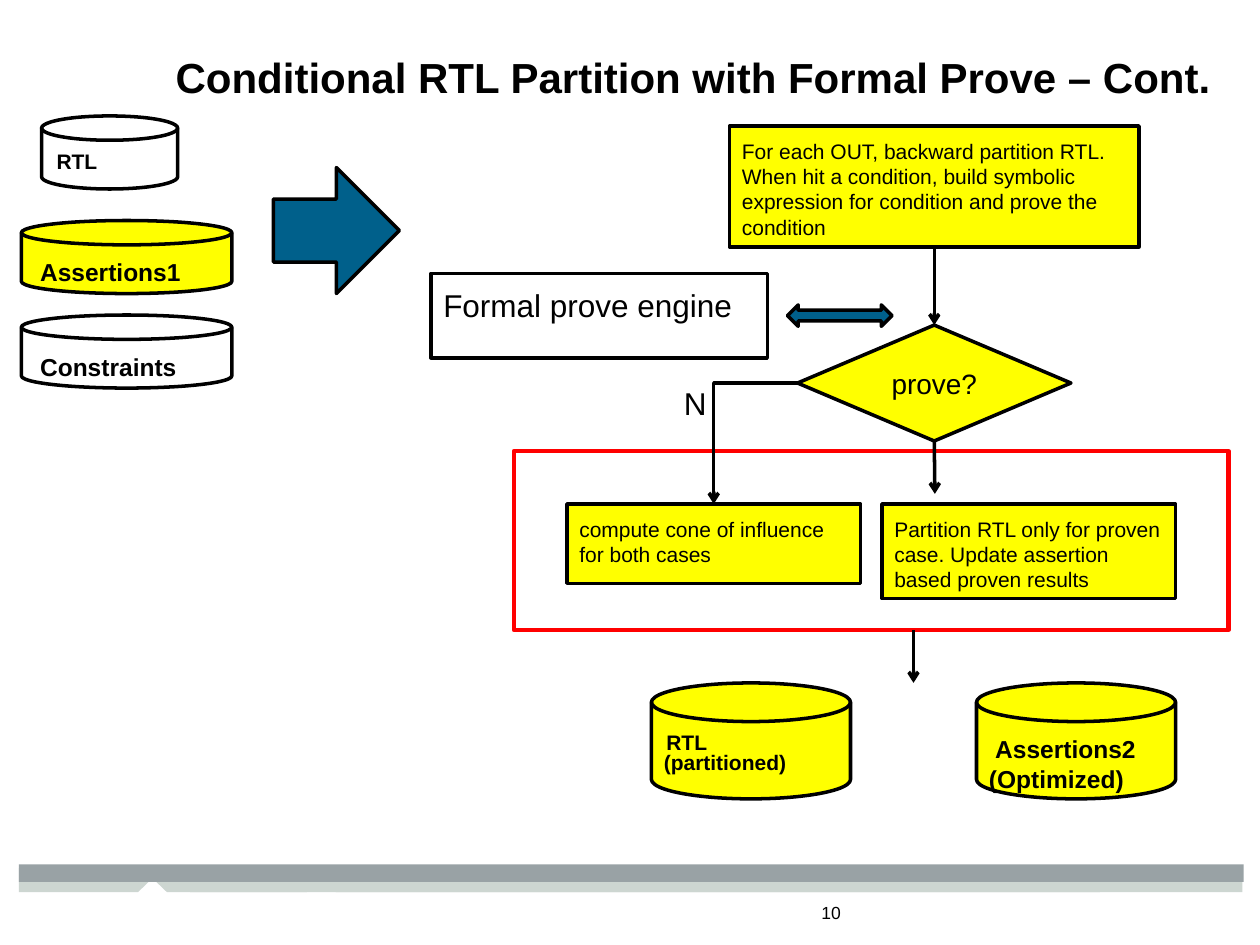
from dataclasses import dataclass

from lxml import etree
from pptx import Presentation
from pptx.dml.color import RGBColor
from pptx.enum.shapes import MSO_CONNECTOR, MSO_SHAPE
from pptx.enum.text import MSO_ANCHOR, PP_ALIGN
from pptx.oxml.ns import qn
from pptx.util import Inches, Pt

BLACK = RGBColor(0x00, 0x00, 0x00)
WHITE = RGBColor(0xFF, 0xFF, 0xFF)
YELLOW = RGBColor(0xFF, 0xFF, 0x00)
RED = RGBColor(0xFF, 0x00, 0x00)
BLUE = RGBColor(0x00, 0x60, 0x8B)
SAGE = RGBColor(0xCD, 0xD6, 0xD1)
GREY = RGBColor(0x99, 0xA2, 0xA5)
FONT = "Arial"

RECT, DIAMOND = MSO_SHAPE.RECTANGLE, MSO_SHAPE.DIAMOND
DISK = MSO_SHAPE.FLOWCHART_MAGNETIC_DISK
RIGHT_ARROW, TWO_WAY_ARROW = MSO_SHAPE.RIGHT_ARROW, MSO_SHAPE.LEFT_RIGHT_ARROW
STRAIGHT, ELBOW = MSO_CONNECTOR.STRAIGHT, MSO_CONNECTOR.ELBOW
LEFT, CENTER, RIGHT = PP_ALIGN.LEFT, PP_ALIGN.CENTER, PP_ALIGN.RIGHT
TOP = MSO_ANCHOR.TOP
TOP_SIDE, LEFT_SIDE, BOTTOM_SIDE = 0, 1, 2


@dataclass
class Node:
    kind: int
    left: float
    top: float
    width: float
    height: float
    text: str = ""
    size: int = 12
    fill: RGBColor | None = YELLOW
    bold: bool = False
    align: int = LEFT
    spacing: float = 1.0
    indent: float = 0.0  # first paragraph only
    line: RGBColor | None = BLACK
    line_width: float = 2


def write(frame, text: str, size: int, bold: bool = False, align: int = LEFT,
          spacing: float = 1.0, indent: float = 0.0, inset: float = 0.05) -> None:
    frame.margin_left = frame.margin_right = Inches(0.1)
    frame.margin_top = frame.margin_bottom = Inches(inset)
    frame.vertical_anchor = TOP
    frame.text = text
    for paragraph in frame.paragraphs:
        paragraph.alignment = align
        paragraph.line_spacing = spacing
        font = paragraph.font
        font.name, font.size, font.bold = FONT, Pt(size), bold
        font.color.rgb = BLACK
    if indent:
        frame.paragraphs[0]._p.get_or_add_pPr().set("marL", str(Inches(indent)))


def paint(shape, fill: RGBColor | None, line: RGBColor | None, width: float = 2) -> None:
    shape.shadow.inherit = False
    if fill is None:
        shape.fill.background()
    else:
        shape.fill.solid()
        shape.fill.fore_color.rgb = fill
    if line is None:
        shape.line.fill.background()
    else:
        shape.line.color.rgb = line
        shape.line.width = Pt(width)


def draw_node(slide, node: Node):
    shape = slide.shapes.add_shape(node.kind, Inches(node.left), Inches(node.top),
                                   Inches(node.width), Inches(node.height))
    paint(shape, node.fill, node.line, node.line_width)
    if node.text:
        shape.text_frame.word_wrap = True
        write(shape.text_frame, node.text, node.size, node.bold, node.align,
              node.spacing, node.indent, inset=0.1)
    return shape


def draw_label(slide, text: str, left: float, top: float, width: float,
               height: float, size: int) -> None:
    label = slide.shapes.add_textbox(Inches(left), Inches(top), Inches(width), Inches(height))
    write(label.text_frame, text, size)


def draw_arrow(slide, start: tuple[float, float], end: tuple[float, float], kind: int = STRAIGHT):
    arrow = slide.shapes.add_connector(kind, *map(Inches, start + end))
    arrow.line.color.rgb = BLACK
    arrow.line.width = Pt(2)
    etree.SubElement(arrow.line._get_or_add_ln(), qn("a:tailEnd"), type="arrow")
    properties = arrow._element.spPr
    etree.SubElement(properties, qn("a:effectLst"))
    if kind == ELBOW:  # one corner only
        properties.find(qn("a:prstGeom")).set("prst", "bentConnector2")
    return arrow


def draw_notched_band(slide, left: float, right: float, notch: float) -> None:
    top, peak, bottom, half = 6.89, 6.97, 7.08, 0.115
    outline = [(right, top), (right, bottom), (notch + half, bottom), (notch, peak),
               (notch - half, bottom), (left, bottom), (left, top)]
    points = [(Inches(x), Inches(y)) for x, y in outline]
    builder = slide.shapes.build_freeform(*points[0])
    builder.add_line_segments(points[1:], close=True)
    paint(builder.convert_to_shape(), SAGE, None)


def main() -> None:
    prs = Presentation()
    prs.slide_width, prs.slide_height = Inches(10), Inches(7.5)
    slide = prs.slides.add_slide(prs.slide_layouts[5])

    # Footer bands and page number
    draw_notched_band(slide, 1.51, 9.86, 2.55)
    draw_notched_band(slide, 0.15, 8.73, 1.21)
    draw_node(slide, Node(RECT, 0.15, 6.86, 9.72, 0.14, fill=GREY, line=None))
    draw_label(slide, "10", 6.42, 7.11, 0.75, 0.34, 10)

    # Title
    title = slide.shapes.title
    title.left, title.top = Inches(0), Inches(0.42)
    title.width, title.height = Inches(9.71), Inches(0.72)
    write(title.text_frame, "Conditional RTL Partition with Formal Prove – Cont.",
          24, bold=True, align=RIGHT, spacing=0.85)

    # Inputs and outputs
    for store in (
        Node(DISK, 0.33, 0.92, 1.08, 0.58, "RTL", 12, WHITE, True, spacing=0.8, indent=0.02),
        Node(DISK, 0.17, 1.75, 1.67, 0.58, "Assertions1", 14, bold=True, indent=0.05),
        Node(DISK, 0.17, 2.5, 1.67, 0.58, "Constraints", 14, WHITE, True, indent=0.05),
        Node(DISK, 5.17, 5.42, 1.58, 0.92, "RTL\n(partitioned)", 12, bold=True,
             spacing=0.8, indent=0.02),
        Node(DISK, 7.75, 5.42, 1.58, 0.92, "Assertions2\n(Optimized)", 14, bold=True,
             indent=0.05),
    ):
        draw_node(slide, store)

    # Flow steps
    backward_partition = draw_node(slide, Node(
        RECT, 5.79, 1, 3.25, 0.96,
        "For each OUT, backward partition RTL. When hit a condition, build symbolic "
        "expression for condition and prove the condition"))
    decision = draw_node(slide, Node(DIAMOND, 6.33, 2.58, 2.17, 0.92, "prove?", 16, align=CENTER))
    both_cases = draw_node(slide, Node(
        RECT, 4.5, 4, 2.33, 0.63, "compute cone of influence for both cases"))
    draw_node(slide, Node(
        RECT, 7, 4, 2.33, 0.75,
        "Partition RTL only for proven case. Update assertion based proven results"))
    draw_node(slide, Node(RECT, 3.42, 2.17, 2.67, 0.67, "Formal prove engine", 18, WHITE))
    draw_label(slide, "N", 5.33, 3, 0.29, 0.4, 18)

    # Block arrows and the frame around both branches
    draw_node(slide, Node(RIGHT_ARROW, 2.17, 1.33, 1, 1, fill=BLUE))
    draw_node(slide, Node(TWO_WAY_ARROW, 6.25, 2.42, 0.83, 0.17, fill=BLUE))
    draw_node(slide, Node(RECT, 4.08, 3.58, 5.67, 1.42, fill=None, line=RED, line_width=2.5))

    # Flow arrows
    to_decision = draw_arrow(slide, (7.42, 1.96), (7.42, 2.58))
    to_decision.begin_connect(backward_partition, BOTTOM_SIDE)
    to_decision.end_connect(decision, TOP_SIDE)
    not_proven = draw_arrow(slide, (6.33, 3.04), (5.67, 4), ELBOW)
    not_proven.begin_connect(decision, LEFT_SIDE)
    not_proven.end_connect(both_cases, TOP_SIDE)
    proven = draw_arrow(slide, (7.42, 3.5), (7.42, 3.92))
    proven.begin_connect(decision, BOTTOM_SIDE)
    draw_arrow(slide, (7.25, 5), (7.25, 5.42))

    prs.save("out.pptx")


if __name__ == "__main__":
    main()
